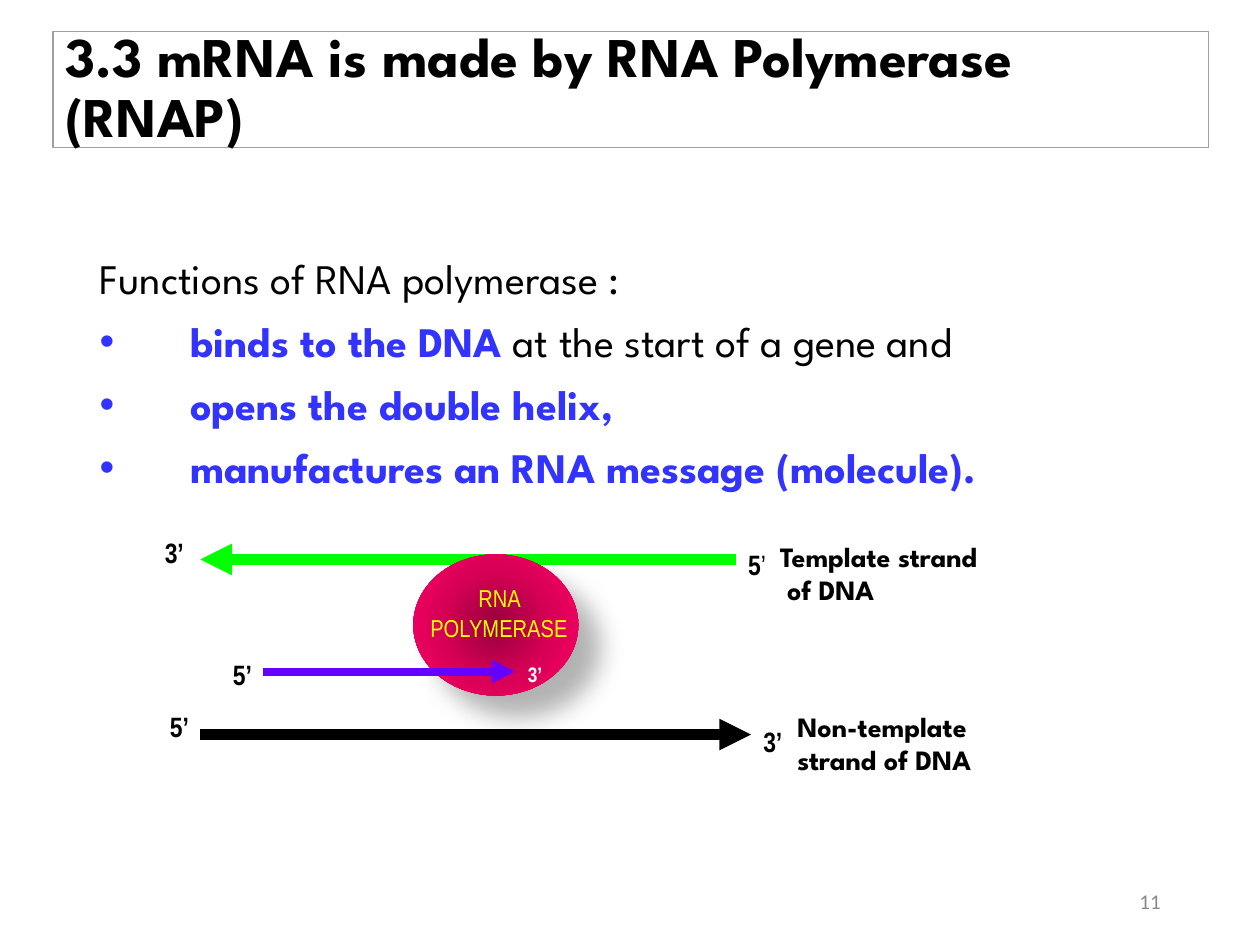
from lxml import etree
from pptx import Presentation
from pptx.dml.color import RGBColor
from pptx.enum.shapes import MSO_CONNECTOR, MSO_SHAPE
from pptx.enum.text import MSO_ANCHOR, MSO_AUTO_SIZE, PP_ALIGN
from pptx.oxml import parse_xml
from pptx.oxml.ns import nsdecls, qn
from pptx.util import Inches, Pt

LINE = MSO_CONNECTOR.STRAIGHT
OVAL = MSO_SHAPE.OVAL
MIDDLE, TOP = MSO_ANCHOR.MIDDLE, MSO_ANCHOR.TOP
LEFT, CENTER, RIGHT = PP_ALIGN.LEFT, PP_ALIGN.CENTER, PP_ALIGN.RIGHT
NO_FIT = MSO_AUTO_SIZE.NONE

BLACK = RGBColor(0x00, 0x00, 0x00)
WHITE = RGBColor(0xFF, 0xFF, 0xFF)
GRAY = RGBColor(0x89, 0x89, 0x89)
BORDER = RGBColor(0xA0, 0xA0, 0xA0)
BLUE = RGBColor(0x33, 0x33, 0xFF)
GREEN = RGBColor(0x00, 0xFF, 0x00)
VIOLET = RGBColor(0x66, 0x00, 0xFF)
YELLOW = RGBColor(0xFF, 0xFF, 0x00)
ENZYME_STOPS = [(0, RGBColor(0x97, 0x00, 0x3C)),
                (50, RGBColor(0xD7, 0x00, 0x56)),
                (100, RGBColor(0xFF, 0x00, 0x66))]

SPARTAN, NARROW, CALIBRI = "League Spartan", "Arial Narrow", "Calibri"
COLS, ROWS = 100, 75
CELL = Inches(10) // COLS


def cells(*values):
    return [round(v * CELL) for v in values]


def place(sp, box):
    sp.left, sp.top, sp.width, sp.height = cells(*box)


def add_run(p, text, size, font, color, bold=False):
    r = p.add_run()
    r.text = text
    r.font.size = Pt(size)
    r.font.name = font
    r.font.bold = bold
    r.font.color.rgb = color


def add_text(s, box, lines, size, font, color=BLACK, bold=True, align=LEFT, anchor=TOP):
    sp = s.shapes.add_textbox(*cells(*box))
    tf = sp.text_frame
    tf.word_wrap = True
    tf.vertical_anchor = anchor
    for i, line in enumerate(lines):
        p = tf.add_paragraph() if i else tf.paragraphs[0]
        p.alignment = align
        add_run(p, line, size, font, color, bold)
    return sp


def add_arrow(s, x1, x2, y, color, width):
    sp = s.shapes.add_connector(LINE, *cells(x1, y, x2, y))
    sp.line.color.rgb = color
    sp.line.width = Pt(width)
    etree.SubElement(sp.line._get_or_add_ln(), qn("a:tailEnd"), type="triangle")
    etree.SubElement(sp._element.spPr, qn("a:effectLst"))


def add_title(s, box):
    sp = s.shapes.title
    place(sp, box)
    sp.line.color.rgb = BORDER
    sp.line.width = Pt(0.75)
    tf = sp.text_frame
    tf.auto_size = NO_FIT
    tf.vertical_anchor = MIDDLE
    p = tf.paragraphs[0]
    p.alignment = LEFT
    p.line_spacing = 0.9
    add_run(p, "3.3 mRNA is made by RNA Polymerase (RNAP)\u00a0", 32, SPARTAN, BLACK, True)


def add_functions(s, box):
    sp = s.placeholders[1]
    place(sp, box)
    tf = sp.text_frame
    tf.auto_size = NO_FIT
    items = [
        [("Functions of RNA polymerase :", BLACK, False)],
        [("binds to the DNA", BLUE, True), (" at the start of a gene and", BLACK, False)],
        [("opens the double helix,", BLUE, True)],
        [("manufactures an RNA message (molecule).", BLUE, True)],
    ]
    for i, runs in enumerate(items):
        p = tf.add_paragraph() if i else tf.paragraphs[0]
        p.line_spacing = 0.9
        p.space_before = Pt(10 if i else 0)
        pPr = p._p.get_or_add_pPr()
        pPr.set("marL", str(Inches(0.72)))
        pPr.set("indent", str(-Inches(0.72)))
        if i:
            etree.SubElement(pPr, qn("a:buFont"), typeface="Arial")
            etree.SubElement(pPr, qn("a:buChar"), char="•")
        else:
            etree.SubElement(pPr, qn("a:buNone"))
        for text, color, bold in runs:
            add_run(p, text, 24, SPARTAN, color, bold)


def add_enzyme(s, box):
    sp = s.shapes.add_shape(OVAL, *cells(*box))
    sp.line.fill.background()
    stops = "".join(f'<a:gs pos="{pos * 1000}"><a:srgbClr val="{color}"/></a:gs>'
                    for pos, color in ENZYME_STOPS)
    spPr = sp._element.spPr
    spPr.find(qn("a:prstGeom")).addnext(parse_xml(
        f'<a:gradFill {nsdecls("a")} rotWithShape="1"><a:gsLst>{stops}</a:gsLst>'
        '<a:path path="circle"><a:fillToRect l="50000" t="50000" r="50000" b="50000"/>'
        '</a:path></a:gradFill>'))
    spPr.append(parse_xml(
        f'<a:effectLst {nsdecls("a")}><a:outerShdw blurRad="{Pt(15)}" dist="{Pt(18)}" '
        'dir="2700000" algn="ctr" rotWithShape="0"><a:srgbClr val="000000">'
        '<a:alpha val="30000"/></a:srgbClr></a:outerShdw></a:effectLst>'))
    x, y, w, h = box
    add_text(s, (x - 0.3, y + 1.8, w + 1.1, h - 2.2), ["RNA POLYMERASE"],
             14, NARROW, YELLOW, False, CENTER)


def add_diagram(s, box):
    x, y, w, h = box
    add_arrow(s, x + 46.4, x + 3.9, y + 2.4, GREEN, 6)
    add_arrow(s, x + 3.9, x + 47.6, y + 16.3, BLACK, 6)
    add_enzyme(s, (x + 20.8, y + 2, 13.1, 11.2))
    ends = [(0.1, 0, "3’"), (5.5, 9.7, "5’"), (0.5, 13.8, "5’"), (47.6, 15, "3’")]
    for dx, dy, text in ends:
        add_text(s, (x + dx, y + dy, 4, 3.3), [text], 16, NARROW)
    sp = add_text(s, (x + 46.4, y + 1, 4, 3.3), ["5"], 16, NARROW)
    add_run(sp.text_frame.paragraphs[0], "’", 16, NARROW, BLACK)
    add_text(s, (x + 28.9, y + 10, 3.8, 3.8), ["3’"], 12, NARROW, WHITE)
    add_text(s, (x + 48.9, y + 0.3, w - 51.2, 9.3), ["Template strand", " of DNA"], 16, SPARTAN)
    add_text(s, (x + 50.3, y + 13.8, w - 50.3, h - 13.8),
             ["Non-template strand of DNA"], 16, SPARTAN)
    add_arrow(s, x + 8.9, x + 28.9, y + 11.3, VIOLET, 4.5)


def add_page_number(s, box):
    add_text(s, box, ["11"], 12, CALIBRI, GRAY, False, RIGHT, MIDDLE)


def main():
    prs = Presentation()
    prs.slide_width, prs.slide_height = cells(COLS, ROWS)
    s = prs.slides.add_slide(prs.slide_layouts[1])
    add_title(s, (4.2, 2.5, 91.7, 9.2))
    add_functions(s, (6.9, 20, 86.2, 47.6))
    add_diagram(s, (12, 42, 72.1, 25.5))
    add_page_number(s, (70.6, 69.5, 22.5, 4))
    prs.save("out.pptx")


if __name__ == "__main__":
    main()
